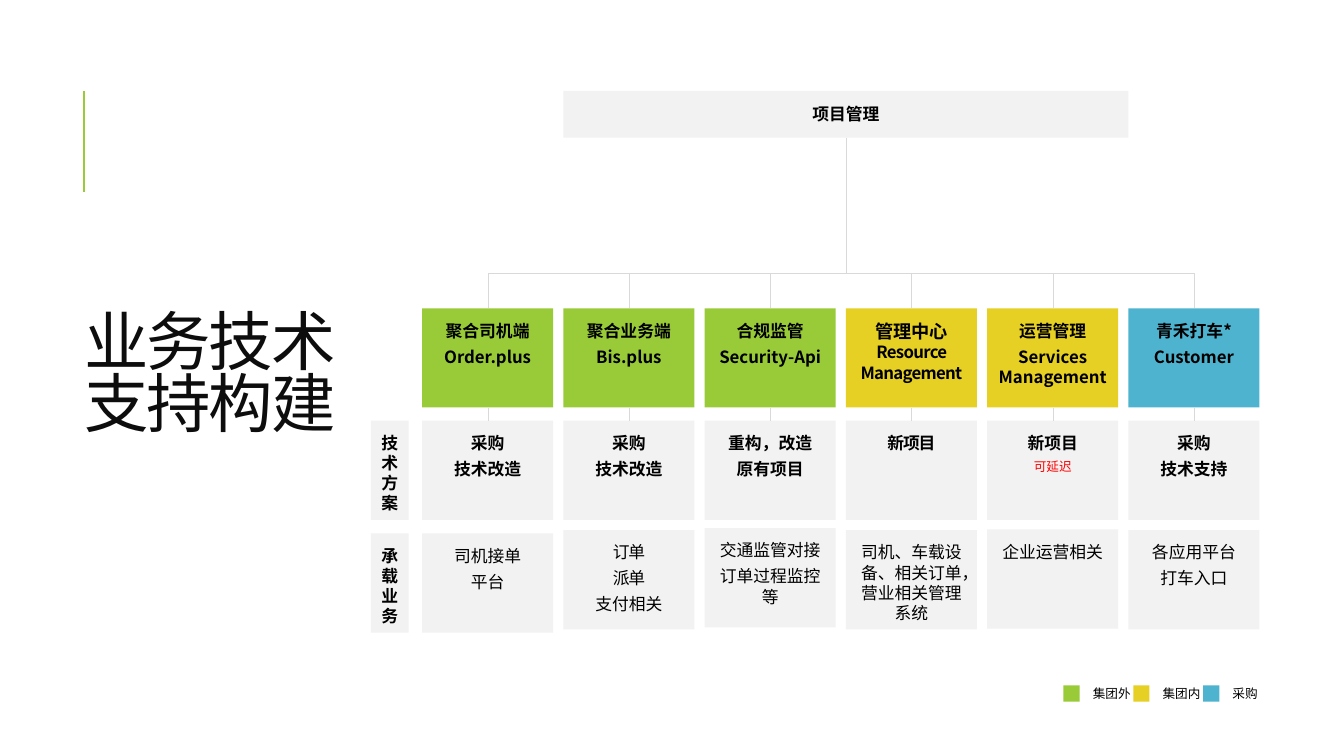
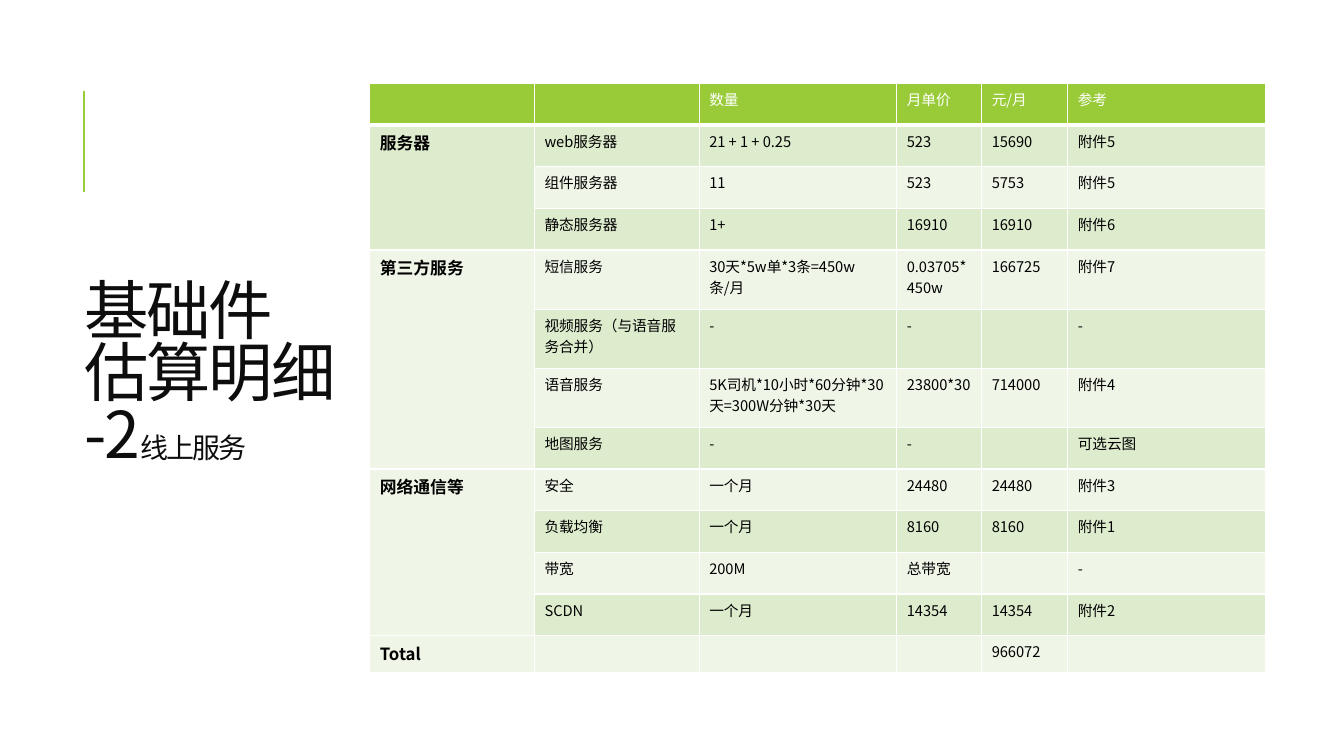
from dataclasses import dataclass

from lxml.etree import SubElement
from pptx import Presentation
from pptx.dml.color import RGBColor
from pptx.enum.shapes import MSO_CONNECTOR, MSO_SHAPE
from pptx.enum.text import MSO_ANCHOR, MSO_AUTO_SIZE, PP_ALIGN
from pptx.oxml.ns import qn
from pptx.util import Cm, Pt

FONT = "Noto Sans CJK SC"
GREEN = RGBColor(0x99, 0xCB, 0x38)
YELLOW = RGBColor(0xE6, 0xD0, 0x24)
BLUE = RGBColor(0x4E, 0xB3, 0xCF)
GREY = RGBColor(0xF2, 0xF2, 0xF2)
RULE = RGBColor(0xD9, 0xD9, 0xD9)
INK = RGBColor(0x0D, 0x0D, 0x0D)
BLACK = RGBColor(0, 0, 0)
WHITE = RGBColor(0xFF, 0xFF, 0xFF)
RED = RGBColor(0xFF, 0, 0)
BANDS = (RGBColor(0xEF, 0xF6, 0xE8), RGBColor(0xDE, 0xEC, 0xCE))

COLUMN_LEFT, COLUMN_PITCH, BOX_WIDTH, BOX_HEIGHT = 10.64, 3.56, 3.3, 2.5
HEAD_TOP, PLAN_TOP, BUS_TOP = 7.77, 10.6, 6.88
PROJECT_TOP, PROJECT_HEIGHT = 2.29, 1.18
LABEL_LEFT, LABEL_WIDTH = 9.35, 0.95
BUSINESS_LABEL_TOP = 13.44
LEGEND_LEFT, LEGEND_TOP, LEGEND_PITCH, SWATCH = 26.8, 17.27, 1.76, 0.41


@dataclass(frozen=True)
class Span:
    """A stretch of text with one format."""
    text: str
    size: float = 12
    bold: bool = False
    colour: RGBColor = BLACK
    spacing: float = 0


Paragraph = tuple[Span, ...]


@dataclass(frozen=True)
class Column:
    """One system with its plan and the business it carries."""
    colour: RGBColor
    head: list[Paragraph]
    plan: list[Paragraph]
    business: list[Paragraph]
    business_top: float


def lines(*texts: str, bold: bool = False, spacing: float = 0) -> list[Paragraph]:
    """Turn each text into a paragraph of one span."""
    return [(Span(text, bold=bold, spacing=spacing),) for text in texts]


COLUMNS = (
    Column(GREEN, lines("聚合司机端", "Order.plus", bold=True),
           lines("采购", "技术改造", bold=True), lines("司机接单", "平台"), 13.44),
    Column(GREEN, lines("聚合业务端", "Bis.plus", bold=True),
           lines("采购", "技术改造", bold=True),
           lines("订单", "派单", spacing=-0.9) + lines("支付相关"), 13.36),
    Column(GREEN, lines("合规监管", "Security-Api", bold=True),
           lines("重构，改造", "原有项目", bold=True),
           lines("交通监管对接", "订单过程监控等"), 13.31),
    Column(YELLOW, [(Span("管理中心\v", 13, True),
                     Span("Resource Management", bold=True, spacing=-0.5))],
           lines("新项目", bold=True, spacing=-0.8),
           lines("司机、车载设备、相关订单，营业相关管理系统"), 13.36),
    Column(YELLOW, lines("运营管理", "Services Management", bold=True),
           lines("新项目", bold=True) + [(Span("可延迟", 9, colour=RED),)],
           lines("企业运营相关"), 13.34),
    Column(BLUE, lines("青禾打车*", "Customer", bold=True),
           lines("采购", "技术支持", bold=True),
           lines("各应用平台", "打车入口"), 13.36),
)
LEGEND = ((GREEN, "集团外"), (YELLOW, "集团内"), (BLUE, "采购"))

TABLE_WIDTHS = (4.15, 4.15, 4.98, 2.14, 2.17, 4.98)
ROW, TALL_ROW = 1.05, 1.49
TABLE_HEIGHTS = (1.04, *[ROW] * 3, *[TALL_ROW] * 3, *[ROW] * 5, 0.92)
TABLE_ROWS = (
    ("", "", "数量", "月单价", "元/月", "参考"),
    ("服务器", "web服务器", "21 + 1 + 0.25", "523", "15690", "附件5"),
    ("", "组件服务器", "11", "523", "5753", "附件5"),
    ("", "静态服务器", "1+", "16910", "16910", "附件6"),
    ("第三方服务", "短信服务", "30天*5w单*3条=450w条/月", "0.03705*450w", "166725", "附件7"),
    ("", "视频服务（与语音服务合并）", "-", "-", "", "-"),
    ("", "语音服务", "5K司机*10小时*60分钟*30天=300W分钟*30天", "23800*30", "714000", "附件4"),
    ("", "地图服务", "-", "-", "", "可选云图"),
    ("网络通信等", "安全", "一个月", "24480", "24480", "附件3"),
    ("", "负载均衡", "一个月", "8160", "8160", "附件1"),
    ("", "带宽", "200M", "总带宽", "", "-"),
    ("", "SCDN", "一个月", "14354", "14354", "附件2"),
    ("Total", "", "", "", "966072", ""),
)
GROUPS = ((1, 3), (4, 7), (8, 11))


def write(para, text: str, *, size: float, bold: bool = False,
          colour: RGBColor = BLACK, spacing: float = 0) -> None:
    """Add formatted text to a paragraph, breaking lines at vertical tabs."""
    if not text:
        SubElement(para._p, qn("a:endParaRPr"), sz=str(int(size * 100)))
        return
    for index, part in enumerate(text.split("\v")):
        if index:
            para.add_line_break()
        if not part:
            continue
        span = para.add_run()
        span.text = part
        font = span.font
        font.size, font.bold, font.name = Pt(size), bold, FONT
        font.color.rgb = colour
        properties = span._r.get_or_add_rPr()
        if spacing:
            properties.set("spc", str(int(spacing * 100)))
        SubElement(properties, qn("a:ea"), typeface=FONT)


def fill_frame(frame, paragraphs: list[Paragraph], *, align=PP_ALIGN.CENTER,
               anchor=MSO_ANCHOR.TOP, margins=(0.2, 0.3, 0.2, 0),
               line_spacing: float = 1.0, after: float = 4.2) -> None:
    """Set a text frame's layout and write its paragraphs."""
    frame.word_wrap = True
    frame.auto_size = MSO_AUTO_SIZE.NONE
    frame.vertical_anchor = anchor
    (frame.margin_left, frame.margin_top,
     frame.margin_right, frame.margin_bottom) = (Cm(value) for value in margins)
    for index, spans in enumerate(paragraphs):
        para = frame.add_paragraph() if index else frame.paragraphs[0]
        para.alignment, para.line_spacing = align, line_spacing
        para.space_after = Pt(after)
        for span in spans:
            write(para, span.text, size=span.size, bold=span.bold,
                  colour=span.colour, spacing=span.spacing)


def add_box(page, left: float, top: float, width: float, height: float, fill: RGBColor):
    """Draw a plain filled rectangle."""
    box = page.shapes.add_shape(MSO_SHAPE.RECTANGLE, Cm(left), Cm(top), Cm(width), Cm(height))
    box.shadow.inherit = False
    box.fill.solid()
    box.fill.fore_color.rgb = fill
    box.line.fill.background()
    return box


def add_card(page, left: float, top: float, paragraphs: list[Paragraph],
             fill: RGBColor = GREY, width: float = BOX_WIDTH):
    """Draw a rectangle with centred text at its top."""
    box = add_box(page, left, top, width, BOX_HEIGHT, fill)
    fill_frame(box.text_frame, paragraphs)
    return box


def add_line(page, begin: tuple[float, float], end: tuple[float, float],
             colour: RGBColor = RULE, weight: float = 0.25, kind=MSO_CONNECTOR.STRAIGHT):
    """Draw a connector without a shadow."""
    line = page.shapes.add_connector(kind, *(Cm(value) for value in begin + end))
    line.line.color.rgb = colour
    line.line.width = Pt(weight)
    SubElement(line._element.spPr, qn("a:effectLst"))
    return line


def add_branch(page, project, head) -> None:
    """Join the project box to an outer head with a bend at the bus height."""
    line = add_line(page, (0, 0), (1, 1), kind=MSO_CONNECTOR.ELBOW)
    line.begin_connect(project, 2)
    line.end_connect(head, 0)
    start_x = project.left + project.width // 2
    end_x = head.left + head.width // 2
    start_y, end_y = project.top + project.height, head.top
    across, down = abs(end_x - start_x), end_y - start_y
    line.left = (start_x + end_x - down) // 2
    line.top = (start_y + end_y - across) // 2
    line.width, line.height = down, across
    to_right = end_x > start_x
    frame = line._element.spPr.find(qn("a:xfrm"))
    frame.set("rot", "16200000" if to_right else "5400000")
    frame.set("flipH", "1" if to_right else "0")
    frame.set("flipV", "0")
    geometry = line._element.spPr.find(qn("a:prstGeom"))
    adjustments = geometry.find(qn("a:avLst"))
    if adjustments is None:
        adjustments = SubElement(geometry, qn("a:avLst"))
    ratio = round((Cm(BUS_TOP) - start_y) / down * 100000)
    SubElement(adjustments, qn("a:gd"), name="adj1", fmla=f"val {ratio}")


def prepare_layout(deck):
    """Place the title on the layout and return the layout."""
    layout = deck.slide_layouts[5]
    title = layout.placeholders[0]
    title.left, title.top, title.width, title.height = Cm(2.13), Cm(1.78), Cm(8.15), Cm(15.47)
    return layout


def add_page(deck, layout, *title: Span):
    """Add a slide with its title."""
    page = deck.slides.add_slide(layout)
    fill_frame(page.shapes.title.text_frame, [title], align=PP_ALIGN.LEFT,
               anchor=MSO_ANCHOR.MIDDLE, margins=(0, 0, 0, 0), line_spacing=0.8, after=0)
    return page


def title_span(text: str, size: float = 46) -> Span:
    """Give a text the title format."""
    return Span(text, size, colour=INK, spacing=-1.5)


def add_accent(deck, page) -> None:
    """Move the green accent line to the master, for every slide."""
    accent = add_line(page, (2.11, 4.83), (2.11, 2.29), GREEN, 1.5)
    deck.slide_master.shapes._spTree.append(accent._element)


def draw_structure(page) -> None:
    """Draw the project tree, the row labels and the legend."""
    project = add_box(page, COLUMN_LEFT + COLUMN_PITCH, PROJECT_TOP,
                      4 * COLUMN_PITCH, PROJECT_HEIGHT, GREY)
    fill_frame(project.text_frame, lines("项目管理", bold=True),
               anchor=MSO_ANCHOR.MIDDLE, margins=(0.03,) * 4, after=0)
    for index, column in enumerate(COLUMNS):
        left = COLUMN_LEFT + index * COLUMN_PITCH
        centre = left + BOX_WIDTH / 2
        head = add_card(page, left, HEAD_TOP, column.head, column.colour)
        plan = add_card(page, left, PLAN_TOP, column.plan)
        add_card(page, left, column.business_top, column.business)
        if index in (0, len(COLUMNS) - 1):
            add_branch(page, project, head)
        else:
            drop = add_line(page, (centre, BUS_TOP), (centre, HEAD_TOP))
            drop.end_connect(head, 0)
        link = add_line(page, (centre, HEAD_TOP + BOX_HEIGHT), (centre, PLAN_TOP))
        link.begin_connect(head, 2)
        link.end_connect(plan, 0)
    for top, text in ((PLAN_TOP, "技术方案"), (BUSINESS_LABEL_TOP, "承载业务")):
        add_card(page, LABEL_LEFT, top, lines(text, bold=True), width=LABEL_WIDTH)
    for index, (colour, text) in enumerate(LEGEND):
        left = LEGEND_LEFT + index * LEGEND_PITCH
        add_box(page, left, LEGEND_TOP, SWATCH, SWATCH, colour)
        label = page.shapes.add_textbox(Cm(left + 0.74), Cm(LEGEND_TOP), Cm(1.14), Cm(SWATCH))
        fill_frame(label.text_frame, [(Span(text, 9),)], align=PP_ALIGN.LEFT,
                   anchor=MSO_ANCHOR.MIDDLE, margins=(0, 0, 0, 0), after=0)


def style_cell(cell, row: int, fill: RGBColor) -> None:
    """Give a cell white borders and a fill."""
    properties = cell._tc.get_or_add_tcPr()
    weights = {"L": 1, "R": 1, "T": 3 if row == 1 else 1, "B": 3 if row == 0 else 1}
    for side, weight in weights.items():
        border = SubElement(properties, qn(f"a:ln{side}"), w=str(Pt(weight)))
        SubElement(SubElement(border, qn("a:solidFill")), qn("a:srgbClr"), val=str(WHITE))
    cell.fill.solid()
    cell.fill.fore_color.rgb = fill


def draw_costs(page) -> None:
    """Draw the table of monthly costs."""
    table = page.shapes.add_table(
        len(TABLE_ROWS), len(TABLE_WIDTHS), Cm(9.32), Cm(2.11),
        Cm(sum(TABLE_WIDTHS)), Cm(sum(TABLE_HEIGHTS))).table
    for column, width in zip(table.columns, TABLE_WIDTHS):
        column.width = Cm(width)
    for row, (texts, height) in enumerate(zip(TABLE_ROWS, TABLE_HEIGHTS)):
        table.rows[row].height = Cm(height)
        for column, text in enumerate(texts):
            cell = table.cell(row, column)
            style_cell(cell, row, BANDS[row % 2] if row else GREEN)
            is_group = row > 0 and column == 0
            write(cell.text_frame.paragraphs[0], text, size=12 if is_group else 10.5,
                  bold=is_group, colour=BLACK if row else WHITE)
    for first, last in GROUPS:
        table.cell(first, 0).merge(table.cell(last, 0))


def main() -> None:
    """Build and save the deck."""
    deck = Presentation()
    deck.slide_width, deck.slide_height = Cm(33.87), Cm(19.05)
    layout = prepare_layout(deck)
    structure = add_page(deck, layout, title_span("业务技术\v支持构建"))
    add_accent(deck, structure)
    draw_structure(structure)
    costs = add_page(deck, layout, title_span("基础件\v估算明细\v-2"), title_span("线上服务", 20))
    draw_costs(costs)
    deck.save("out.pptx")


if __name__ == "__main__":
    main()
